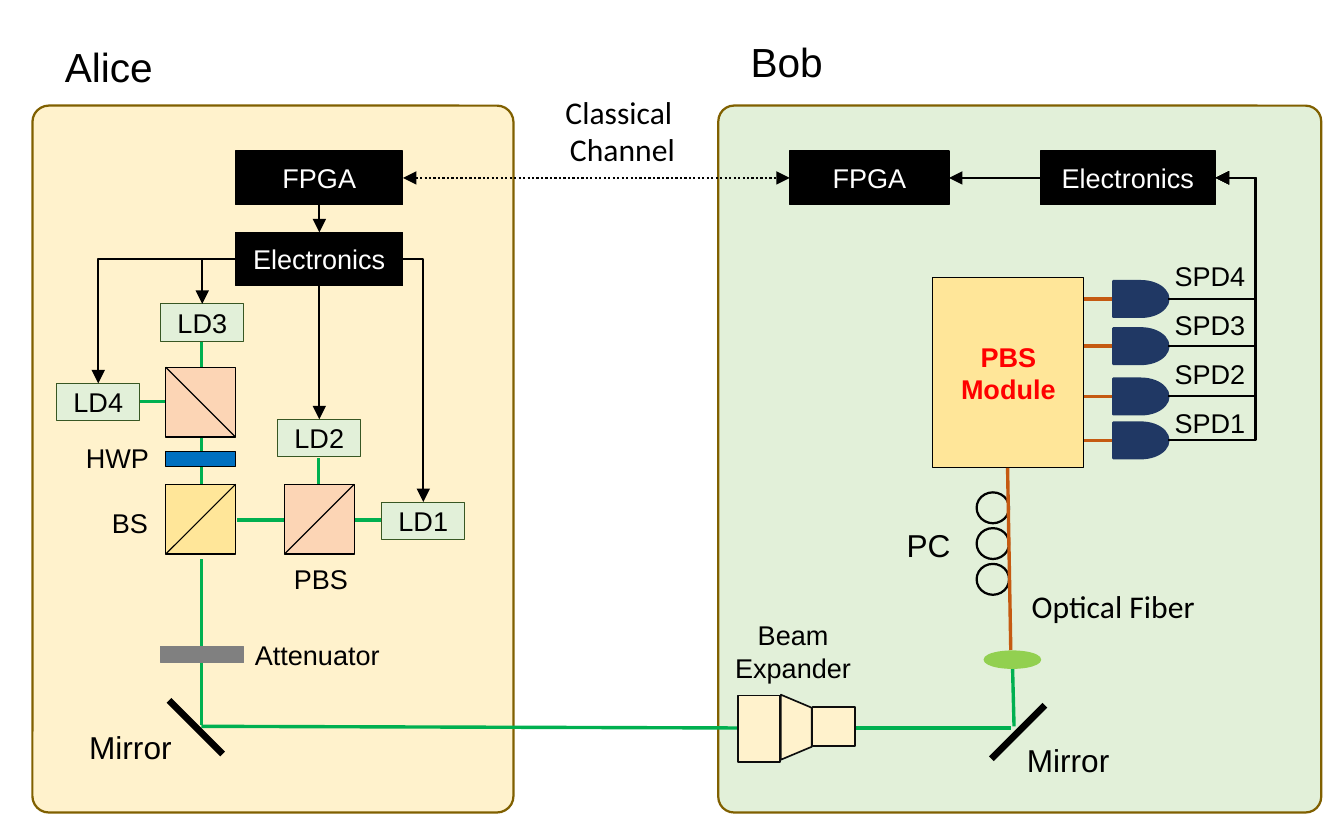
"""Build a slide of a free-space quantum key distribution setup."""
from lxml import etree
from pptx import Presentation
from pptx.dml.color import RGBColor
from pptx.enum.dml import MSO_LINE
from pptx.enum.shapes import MSO_CONNECTOR, MSO_SHAPE
from pptx.enum.text import MSO_ANCHOR, PP_ALIGN
from pptx.oxml.ns import qn
from pptx.util import Inches, Pt

RECT = MSO_SHAPE.RECTANGLE
ROUND = MSO_SHAPE.ROUNDED_RECTANGLE
OVAL = MSO_SHAPE.OVAL
DELAY = MSO_SHAPE.FLOWCHART_DELAY
PROCESS = MSO_SHAPE.FLOWCHART_PROCESS
FUNNEL = MSO_SHAPE.FLOWCHART_MANUAL_OPERATION
STRAIGHT, ELBOW = MSO_CONNECTOR.STRAIGHT, MSO_CONNECTOR.ELBOW
LEFT, CENTER = PP_ALIGN.LEFT, PP_ALIGN.CENTER
MIDDLE, TOP = MSO_ANCHOR.MIDDLE, MSO_ANCHOR.TOP
DOTTED = MSO_LINE.ROUND_DOT
SITE_TOP, SITE_LEFT, SITE_BOTTOM, SITE_RIGHT = range(4)

BLACK, WHITE, RED = "000000", "FFFFFF", "FF0000"
CREAM, MINT, SAND, PEACH = "FFF2CC", "E2F0D9", "FFE699", "FCD5B5"
BEAM, FIBER, NAVY, GRAY = "00B050", "C55A11", "203864", "808080"
LIME, BLUE, BROWN, MOSS, INK = "92D050", "0070C0", "806000", "385723", "0D0D0D"


def rgb(color):
    return RGBColor.from_string(color)


class Diagram:
    """Draws styled elements on the current slide."""

    def __init__(self, slide, font="Arial"):
        self.shapes = slide.shapes
        self.font = font

    def add_lines(self, tf, lines, size, color, align, bold=False, font=None):
        for i, line in enumerate(lines):
            p = tf.paragraphs[0] if i == 0 else tf.add_paragraph()
            p.alignment = align
            r = p.add_run()
            r.text = line
            r.font.size = Pt(size)
            r.font.name = font or self.font
            r.font.bold = bold
            r.font.color.rgb = rgb(color)

    def shape(self, kind, x, y, w, h, fill, line=BLACK, width=0.5, lines=(),
              color=BLACK, bold=False, rotation=0, adj=None):
        sp = self.shapes.add_shape(kind, Inches(x), Inches(y), Inches(w), Inches(h))
        sp.shadow.inherit = False
        sp.rotation = rotation
        if adj is not None:
            sp.adjustments[0] = adj
        if fill:
            sp.fill.solid()
            sp.fill.fore_color.rgb = rgb(fill)
        else:
            sp.fill.background()
        sp.line.color.rgb = rgb(line)
        sp.line.width = Pt(width)
        tf = sp.text_frame
        tf.margin_left = tf.margin_right = tf.margin_top = tf.margin_bottom = 0
        tf.vertical_anchor = MIDDLE
        self.add_lines(tf, lines, 12, color, CENTER, bold)
        return sp

    def label(self, x, y, w, h, *lines, size=12, align=LEFT, wrap=False, font=None):
        tf = self.shapes.add_textbox(Inches(x), Inches(y), Inches(w), Inches(h)).text_frame
        tf.word_wrap = wrap
        tf.vertical_anchor = TOP
        self.add_lines(tf, lines, size, BLACK, align, font=font)

    def line(self, x1, y1, x2, y2, color=BEAM, width=1.5, kind=STRAIGHT):
        cx = self.shapes.add_connector(kind, Inches(x1), Inches(y1), Inches(x2), Inches(y2))
        cx.line.color.rgb = rgb(color)
        cx.line.width = Pt(width)
        etree.SubElement(cx._element.spPr, qn("a:effectLst"))
        return cx

    def arrow(self, start, start_site, end, end_site, bend=None, adj=None,
              dash=None, ends=("tailEnd",)):
        cx = self.line(0, 0, 1, 1, BLACK, 1, ELBOW if bend else STRAIGHT)
        cx.begin_connect(start, start_site)
        cx.end_connect(end, end_site)
        if dash:
            cx.line.dash_style = dash
        ln = cx._element.spPr.find(qn("a:ln"))
        for end_name in ends:
            etree.SubElement(ln, qn("a:" + end_name), type="triangle")
        if bend:
            geom = cx._element.spPr.find(qn("a:prstGeom"))
            geom.set("prst", bend)
            if adj:
                av = geom.find(qn("a:avLst"))
                etree.SubElement(av, qn("a:gd"), name="adj1", fmla=f"val {adj}")

    def cube(self, x, y, fill, falling=False):
        size = 0.43
        self.shape(RECT, x, y, size, size, fill)
        y1, y2 = (y, y + size) if falling else (y + size, y)
        self.line(x, y1, x + size, y2, BLACK, 0.5)

    def laser(self, name, x, y):
        return self.shape(RECT, x, y, 0.51, 0.23, MINT, MOSS, lines=[name])

    def unit(self, name, x, y, w):
        return self.shape(RECT, x, y, w, 0.33, BLACK, lines=[name], color=WHITE)


def draw_alice(d):
    for x1, y1, x2, y2 in [(1.02, 2.47, 0.86, 2.47), (1.24, 2.26, 1.24, 2.1),
                           (1.96, 2.98, 1.96, 2.82), (2.35, 3.2, 2.18, 3.2),
                           (1.75, 3.2, 1.46, 3.2), (1.24, 2.98, 1.24, 2.69),
                           (1.24, 4.46, 1.24, 3.44)]:
        d.line(x1, y1, x2, y2)
    d.cube(1.02, 2.26, PEACH, falling=True)
    d.cube(1.75, 2.98, PEACH)
    d.cube(1.02, 2.98, SAND)
    d.shape(RECT, 1.02, 2.78, 0.43, 0.09, BLUE)
    d.shape(RECT, 0.99, 3.98, 0.51, 0.1, GRAY, GRAY)
    d.line(1.37, 4.64, 1.04, 4.31, BLACK, 3)
    fpga = d.unit("FPGA", 1.45, 0.93, 1.03)
    electronics = d.unit("Electronics", 1.45, 1.43, 1.03)
    d.arrow(fpga, SITE_BOTTOM, electronics, SITE_TOP)
    for name, x, y, site, bend in [
            ("LD1", 2.35, 3.09, SITE_RIGHT, "bentConnector2"),
            ("LD2", 1.71, 2.58, SITE_BOTTOM, None),
            ("LD3", 0.99, 1.87, SITE_LEFT, "bentConnector2"),
            ("LD4", 0.35, 2.36, SITE_LEFT, "bentConnector2")]:
        d.arrow(electronics, site, d.laser(name, x, y), SITE_TOP, bend)
    d.label(0.3, 0.21, 0.75, 0.4, "Alice", size=18)
    d.label(0.43, 2.67, 0.59, 0.3, "HWP")
    d.label(0.59, 3.07, 0.43, 0.3, "BS")
    d.label(1.71, 3.41, 0.54, 0.3, "PBS")
    d.label(1.47, 3.88, 0.98, 0.3, "Attenuator")
    d.label(0.45, 4.43, 0.71, 0.34, "Mirror", size=14)
    return fpga


def draw_bob(d):
    d.line(6.24, 4.47, 6.23, 4.08)
    d.line(5.26, 4.48, 6.22, 4.48)
    d.line(6.1, 4.67, 6.43, 4.34, BLACK, 3)
    d.shape(PROCESS, 5, 4.35, 0.26, 0.24, CREAM, INK, 0.75)
    d.shape(PROCESS, 4.54, 4.28, 0.26, 0.41, CREAM, INK, 0.75)
    d.shape(FUNNEL, 4.7, 4.38, 0.4, 0.19, CREAM, INK, 0.75, rotation=270)
    fpga = d.unit("FPGA", 4.86, 0.93, 0.98)
    electronics = d.unit("Electronics", 6.4, 0.93, 1.08)
    d.arrow(electronics, SITE_LEFT, fpga, SITE_RIGHT)
    for i, y in enumerate([1.73, 2.02, 2.33, 2.6]):
        d.line(6.85, y + 0.11, 6.65, y + 0.11, FIBER)
        detector = d.shape(DELAY, 6.85, y, 0.34, 0.22, NAVY, NAVY, 1)
        d.arrow(detector, SITE_RIGHT, electronics, SITE_RIGHT, "bentConnector3", 184600)
        d.label(7.13, 1.55 + 0.3 * i, 0.64, 0.3, f"SPD{4 - i}")
    d.shape(RECT, 5.74, 1.71, 0.93, 1.17, SAND, lines=["PBS", "Module"], color=RED, bold=True)
    d.shape(OVAL, 6.06, 4.01, 0.34, 0.1, LIME, LIME, 1)
    for i in range(3):
        d.shape(OVAL, 6.01, 3.03 + 0.22 * i, 0.2, 0.19, None, width=1)
    d.line(6.22, 4, 6.2, 2.88, FIBER)
    d.label(4.52, 0.18, 0.65, 0.4, "Bob", size=18)
    d.label(4.42, 3.76, 0.92, 0.5, "Beam", "Expander", align=CENTER)
    d.label(5.48, 3.19, 0.48, 0.34, "PC", size=14)
    d.label(6.04, 3.56, 1.62, 0.34, "Optical Fiber", size=14, align=CENTER, wrap=True,
            font="Calibri")
    d.label(6.22, 4.51, 0.71, 0.34, "Mirror", size=14)
    return fpga


def main():
    prs = Presentation()
    prs.slide_width, prs.slide_height = Inches(8.27), Inches(5.12)
    d = Diagram(prs.slides.add_slide(prs.slide_layouts[6]))
    d.shape(ROUND, 4.42, 0.65, 3.71, 4.35, MINT, BROWN, 1, adj=0.026)
    d.shape(ROUND, 0.2, 0.65, 2.96, 4.35, CREAM, BROWN, 1, adj=0.034)
    d.line(1.24, 4.47, 4.54, 4.48)
    alice_fpga = draw_alice(d)
    bob_fpga = draw_bob(d)
    d.arrow(alice_fpga, SITE_RIGHT, bob_fpga, SITE_LEFT, dash=DOTTED,
            ends=("headEnd", "tailEnd"))
    d.label(3.29, 0.52, 1.08, 0.57, "Classical ", "Channel", size=14, align=CENTER,
            wrap=True, font="Calibri")
    prs.save("out.pptx")


if __name__ == "__main__":
    main()
